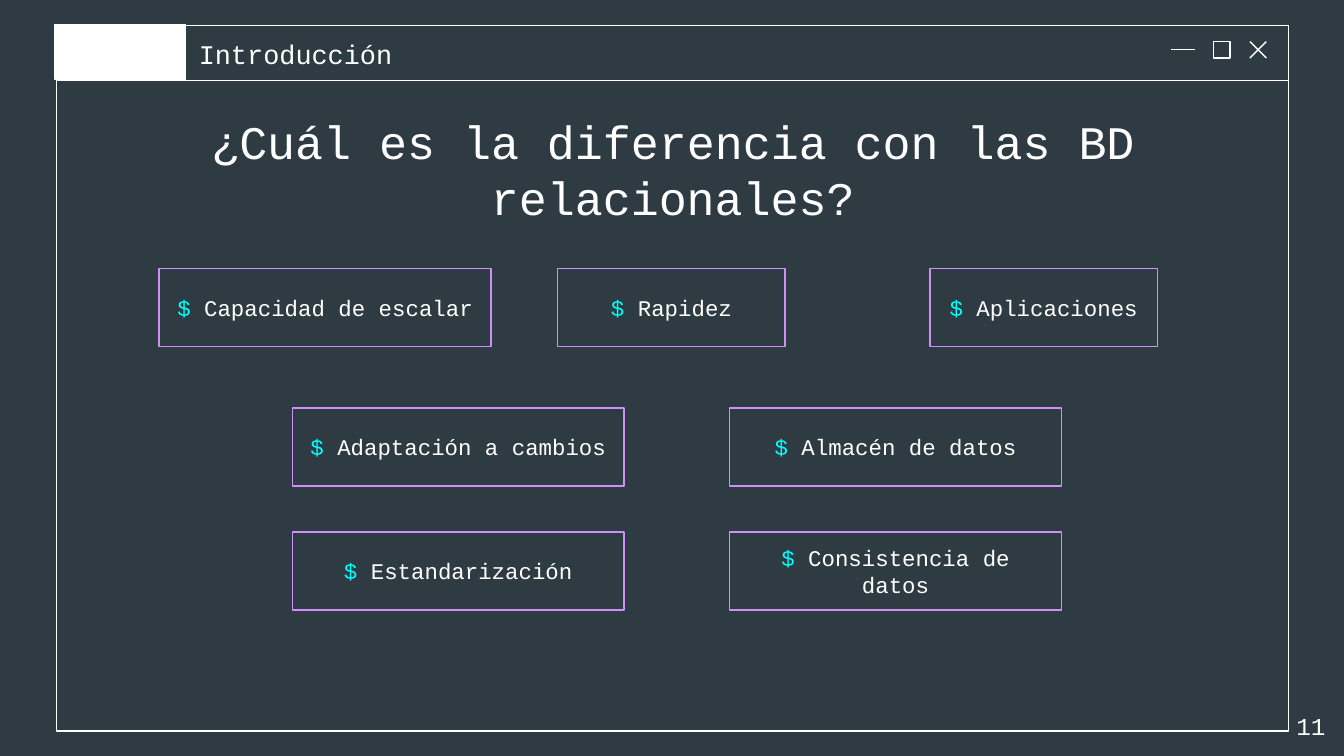
from dataclasses import dataclass

from lxml import etree
from pptx import Presentation
from pptx.dml.color import RGBColor
from pptx.enum.shapes import MSO_CONNECTOR, MSO_SHAPE
from pptx.enum.text import MSO_ANCHOR, PP_ALIGN
from pptx.oxml.ns import qn
from pptx.util import Pt

RECT = MSO_SHAPE.RECTANGLE
STRAIGHT = MSO_CONNECTOR.STRAIGHT
TOP, MIDDLE = MSO_ANCHOR.TOP, MSO_ANCHOR.MIDDLE
LEFT, CENTER, RIGHT = PP_ALIGN.LEFT, PP_ALIGN.CENTER, PP_ALIGN.RIGHT

BACKGROUND, WHITE, PURPLE, CYAN = "2F3B42", "FFFFFF", "CE90F7", "00FFFF"
FONT = "Courier New"
LINE_WIDTH = 0.75


@dataclass
class Box:
    left: float
    top: float
    width: float
    height: float


@dataclass
class Label:
    text: str
    box: Box
    size: float
    align: PP_ALIGN
    anchor: MSO_ANCHOR = TOP


FRAME = Box(30.24, 13.68, 660.24, 378)
TITLE_BAR = Box(FRAME.left, FRAME.top, FRAME.width, 29.5)
TAB = Box(29.5, 13, 69.8, 29.5)
MAXIMIZE = Box(650.2, 22.3, 8.8, 8.8)
CLOSE = Box(669.6, 22.3, 8.8, 8.8)
MINIMIZE = Box(627.1, 26.6, 12.9, 0)

LABELS = [
    Label("¿Cuál es la diferencia con las BD relacionales?",
          Box(36.7, 46.8, 647.3, 87.1), 25, CENTER, MIDDLE),
    Label("11", Box(673.9, 373.7, 43.2, 31), 13, RIGHT),
    Label("Introducción", Box(99.4, 13, 469.4, 29.5), 14.4, LEFT),
]

ITEM_HEIGHT = 41.8
WIDE, NARROW = 177.8, 121.9
# Each row: top, then (left, width, text) for its items
ITEM_ROWS = [
    (144, [(85.3, WIDE, "Capacidad de escalar"), (298.8, NARROW, "Rapidez"),
           (498.2, NARROW, "Aplicaciones")]),
    (218.5, [(156.6, WIDE, "Adaptación a cambios"), (390.9, WIDE, "Almacén de datos")]),
    (285, [(156.6, WIDE, "Estandarización"), (390.9, WIDE, "Consistencia de datos")]),
]


def rgb(value: str) -> RGBColor:
    return RGBColor.from_string(value)


def points(box: Box) -> tuple:
    return Pt(box.left), Pt(box.top), Pt(box.width), Pt(box.height)


def add_rect(s, box: Box, line: str, fill: str = ""):
    sp = s.shapes.add_shape(RECT, *points(box))
    sp.shadow.inherit = False
    if fill:
        sp.fill.solid()
        sp.fill.fore_color.rgb = rgb(fill)
    else:
        sp.fill.background()
    sp.line.color.rgb = rgb(line)
    sp.line.width = Pt(LINE_WIDTH)
    return sp


def add_line(s, x1: float, y1: float, x2: float, y2: float) -> None:
    line = s.shapes.add_connector(STRAIGHT, Pt(x1), Pt(y1), Pt(x2), Pt(y2))
    line.line.color.rgb = rgb(WHITE)
    line.line.width = Pt(LINE_WIDTH)
    etree.SubElement(line._element.spPr, qn("a:effectLst"))


def write_text(sp, runs: list, size: float, align: PP_ALIGN, anchor: MSO_ANCHOR):
    """Fill a shape with one paragraph of (text, colour) runs."""
    tf = sp.text_frame
    frame_format = {"word_wrap": True, "vertical_anchor": anchor}
    for side in ("left", "top", "right", "bottom"):
        frame_format[f"margin_{side}"] = Pt(7.2)
    for name, value in frame_format.items():
        setattr(tf, name, value)
    p = tf.paragraphs[0]
    p.alignment = align
    for text, color in runs:
        r = p.add_run()
        r.text = text
        for name, value in {"name": FONT, "size": Pt(size)}.items():
            setattr(r.font, name, value)
        r.font.color.rgb = rgb(color)
    return p


def add_label(s, label: Label) -> None:
    sp = s.shapes.add_textbox(*points(label.box))
    write_text(sp, [(label.text, WHITE)], label.size, label.align, label.anchor)


def add_item(s, box: Box, text: str) -> None:
    sp = add_rect(s, box, PURPLE)
    p = write_text(sp, [("$", CYAN), (f" {text}", WHITE)], 12, CENTER, MIDDLE)
    p.space_after = Pt(12)


def add_window(s) -> None:
    for box in (FRAME, TITLE_BAR, MAXIMIZE):
        add_rect(s, box, WHITE)
    right, bottom = CLOSE.left + CLOSE.width, CLOSE.top + CLOSE.height
    add_line(s, CLOSE.left, CLOSE.top, right, bottom)
    add_line(s, right, CLOSE.top, CLOSE.left, bottom)
    add_line(s, MINIMIZE.left, MINIMIZE.top, MINIMIZE.left + MINIMIZE.width, MINIMIZE.top)


def main() -> None:
    prs = Presentation()
    prs.slide_width, prs.slide_height = Pt(720), Pt(405)
    s = prs.slides.add_slide(prs.slide_layouts[6])
    s.background.fill.solid()
    s.background.fill.fore_color.rgb = rgb(BACKGROUND)

    add_window(s)
    for label in LABELS:
        add_label(s, label)
    add_rect(s, TAB, WHITE, WHITE)
    for top, items in ITEM_ROWS:
        for left, width, text in items:
            add_item(s, Box(left, top, width, ITEM_HEIGHT), text)
    prs.save("out.pptx")


if __name__ == "__main__":
    main()
